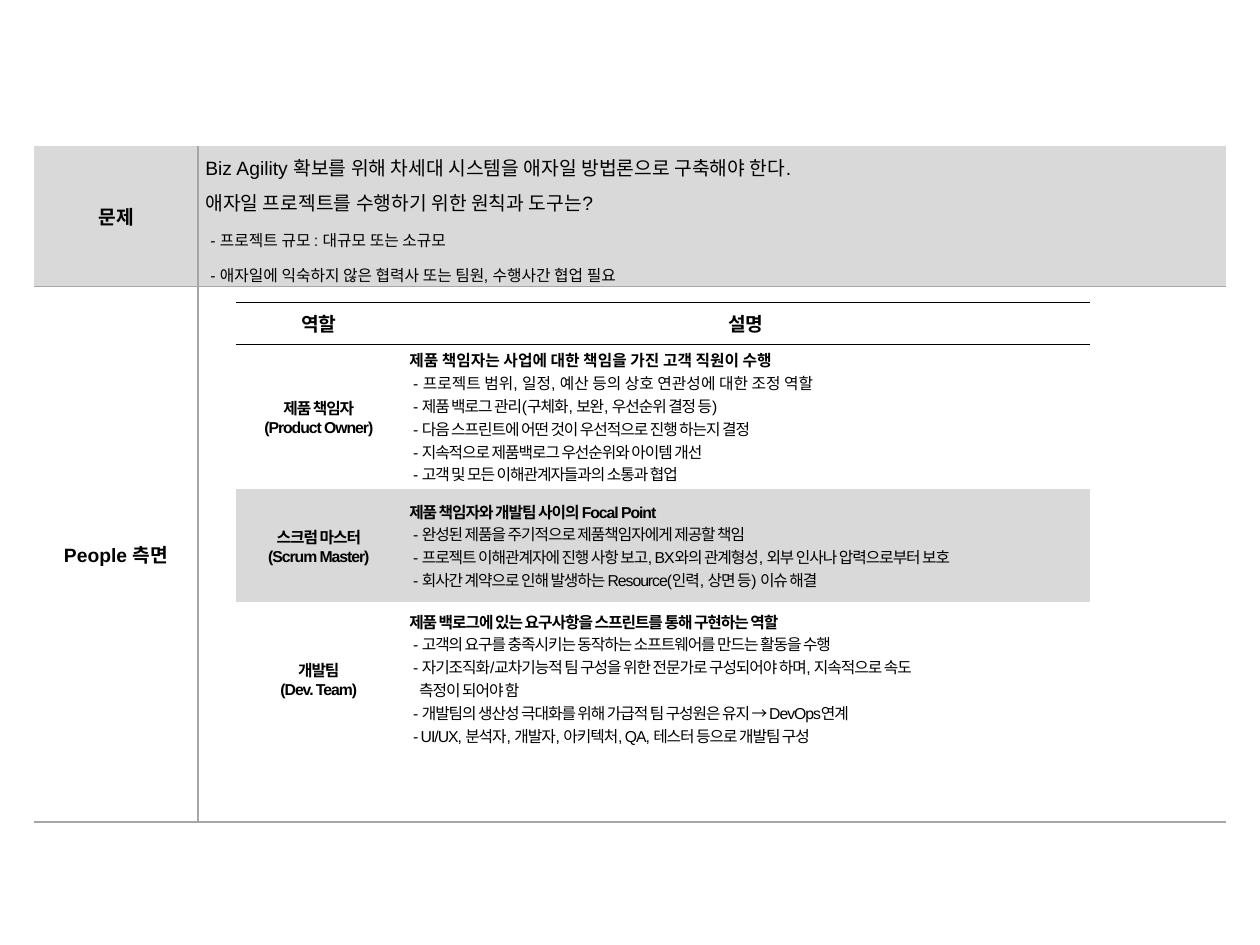
from lxml.etree import SubElement
from pptx import Presentation
from pptx.dml.color import RGBColor
from pptx.enum.text import MSO_ANCHOR, PP_ALIGN
from pptx.oxml.ns import qn
from pptx.util import Cm, Pt

FRAME = [
    [["문제"], [
        "Biz Agility 확보를 위해 차세대 시스템을 애자일 방법론으로 구축해야 한다.",
        "애자일 프로젝트를 수행하기 위한 원칙과 도구는?",
        "- 프로젝트 규모 : 대규모 또는 소규모",
        "- 애자일에 익숙하지 않은 협력사 또는 팀원, 수행사간 협업 필요",
    ]],
    [["People 측면"], []],
]
ROLES = [
    [["역할"], ["설명"]],
    [["제품 책임자", "(Product Owner)"], [
        "제품 책임자는 사업에 대한 책임을 가진 고객 직원이 수행",
        "- 프로젝트 범위, 일정, 예산 등의 상호 연관성에 대한 조정 역할",
        "- 제품 백로그 관리(구체화, 보완, 우선순위 결정 등)",
        "- 다음 스프린트에 어떤 것이 우선적으로 진행 하는지 결정",
        "- 지속적으로 제품백로그 우선순위와 아이템 개선",
        "- 고객 및 모든 이해관계자들과의 소통과 협업",
    ]],
    [["스크럼 마스터", "(Scrum Master)"], [
        "제품 책임자와 개발팀 사이의 Focal Point",
        "- 완성된 제품을 주기적으로 제품책임자에게 제공할 책임",
        "- 프로젝트 이해관계자에 진행 사항 보고, BX와의 관계형성, 외부 인사나 압력으로부터 보호",
        "- 회사간 계약으로 인해 발생하는 Resource(인력, 상면 등) 이슈 해결",
    ]],
    [["개발팀", "(Dev. Team)"], [
        "제품 백로그에 있는 요구사항을 스프린트를 통해 구현하는 역할",
        "- 고객의 요구를 충족시키는 동작하는 소프트웨어를 만드는 활동을 수행",
        "- 자기조직화/교차기능적 팀 구성을 위한 전문가로 구성되어야 하며, 지속적으로 속도",
        "측정이 되어야 함",
        "- 개발팀의 생산성 극대화를 위해 가급적 팀 구성원은 유지 → DevOps연계",
        "- UI/UX, 분석자, 개발자, 아키텍처, QA, 테스터 등으로 개발팀 구성",
    ]],
]
THEME = {
    "font": "Arial", "big": Pt(11), "small": Pt(9), "tight": "-60",
    "ink": "000000", "band": "D9D9D9", "rule": "A6A6A6",
}
SIDES = "LRTB"


def put(obj, form):
    for key, val in form.items():
        setattr(obj, key, val)


def edge(cell, sides, color):
    props = cell._tc.get_or_add_tcPr()
    for side in SIDES:
        line = SubElement(props, qn(f"a:ln{side}"), w=str(Pt(1)))
        if side in sides:
            fill = SubElement(line, qn("a:solidFill"))
            SubElement(fill, qn("a:srgbClr"), val=color)
        else:
            SubElement(line, qn("a:noFill"))


def shade(cell, color):
    if color:
        cell.fill.solid()
        cell.fill.fore_color.rgb = RGBColor.from_string(color)
    else:
        cell.fill.background()


def write(cell, lines, style):
    for num, text in enumerate(lines):
        frame = cell.text_frame
        para = frame.add_paragraph() if num else frame.paragraphs[0]
        look = style(num, text)
        put(para, look["para"])
        para._p.get_or_add_pPr().set("marL", str(Cm(look["left"])))
        run = para.add_run()
        run.text = text
        put(run.font, {"name": THEME["font"], **look["font"]})
        run.font.color.rgb = RGBColor.from_string(THEME["ink"])
        run._r.get_or_add_rPr().set("spc", look["space"])


def grid(slide, rows, spot, wide, high, pad):
    shape = slide.shapes.add_table(
        len(rows), len(wide), Cm(spot[0]), Cm(spot[1]), Cm(sum(wide)), Cm(sum(high)))
    table = shape.table
    put(table, {"first_row": False, "horz_banding": False})
    for col, size in zip(table.columns, wide):
        col.width = Cm(size)
    for row, size in zip(table.rows, high):
        row.height = Cm(size)
    for cell in table.iter_cells():
        put(cell, {
            "vertical_anchor": MSO_ANCHOR.MIDDLE,
            "margin_left": Cm(0.15), "margin_right": Cm(0.15),
            "margin_top": Cm(pad), "margin_bottom": Cm(pad),
        })
    return table


def outer(slide):
    table = grid(slide, FRAME, (0.69, 2.95), (3.3, 20.73), (2.44, 10.8), 0)
    for r, row in enumerate(FRAME):
        for c, lines in enumerate(row):
            def style(num, text):
                dash = text.startswith("- ")
                para = {"line_spacing": Pt(20)} if c else {"alignment": PP_ALIGN.CENTER}
                return {
                    "para": para, "left": 0.1 if dash else 0, "space": "0",
                    "font": {"size": THEME["small" if dash else "big"], "bold": c == 0},
                }

            cell = table.cell(r, c)
            edge(cell, ("L" if c else "R") + ("TB" if r else "B"), THEME["rule"])
            shade(cell, None if r else THEME["band"])
            write(cell, lines, style)


def inner(slide):
    table = grid(slide, ROLES, (4.75, 6.1), (3.35, 13.87), (0.84, 2.67, 2.26, 3.1), 0.08)
    for r, row in enumerate(ROLES):
        for c, lines in enumerate(row):
            def style(num, text):
                body = bool(r and c)
                left = 0
                if body and num:
                    left = 0.08 if text.startswith("- ") else 0.2
                loose = body and r == 1 and num < 2
                return {
                    "para": {"alignment": PP_ALIGN.LEFT if body else PP_ALIGN.CENTER},
                    "left": left, "space": "0" if loose else THEME["tight"],
                    "font": {"size": THEME["small" if r else "big"],
                             "bold": not body or num == 0},
                }

            cell = table.cell(r, c)
            edge(cell, {0: "TB", 1: "T"}.get(r, ""), THEME["ink"])
            shade(cell, THEME["band"] if r == 2 else None)
            write(cell, lines, style)


def main():
    deck = Presentation()
    put(deck, {"slide_width": Cm(25.4), "slide_height": Cm(19.05)})
    slide = deck.slides.add_slide(deck.slide_layouts[6])
    outer(slide)
    inner(slide)
    deck.save("out.pptx")


if __name__ == "__main__":
    main()
